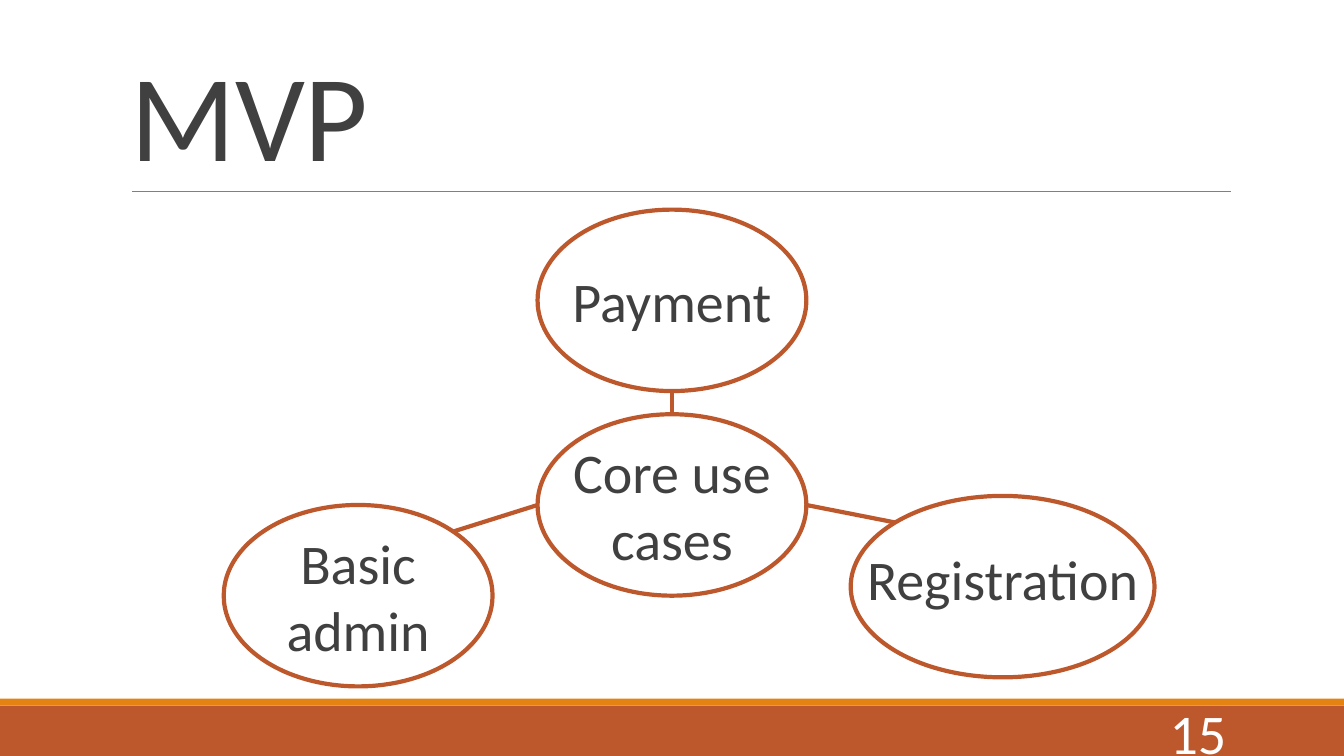
"""Build the MVP slide: three features linked to the core use cases."""
from math import sqrt

from lxml.etree import SubElement
from pptx import Presentation
from pptx.dml.color import RGBColor
from pptx.enum.shapes import MSO_CONNECTOR, MSO_SHAPE
from pptx.enum.text import MSO_ANCHOR, PP_ALIGN
from pptx.oxml.ns import qn
from pptx.util import Inches, Pt

THEME = {
    "font": "Calibri",
    "ink": RGBColor.from_string("404040"),
    "paper": RGBColor.from_string("FFFFFF"),
    "rust": RGBColor.from_string("BD582C"),
    "amber": RGBColor.from_string("E48312"),
    "rule": RGBColor.from_string("808080"),
    "title": Pt(88),
    "body": Pt(40),
    "outline": Pt(3),
    "hairline": Pt(0.5),
}

deck = Presentation()
deck.slide_width, deck.slide_height = Inches(13.33), Inches(7.5)
page = deck.slides.add_slide(deck.slide_layouts[6])
column, row = deck.slide_width / 100, deck.slide_height / 100


def add_text(area, text, size, color, align, anchor):
    """Write one paragraph in a box given in percent of the slide."""
    left, top, width, height = area
    box = page.shapes.add_textbox(
        int(left * column), int(top * row), int(width * column), int(height * row))
    box.text_frame.word_wrap = True
    box.text_frame.vertical_anchor = anchor
    para = box.text_frame.paragraphs[0]
    para.alignment = align
    span = para.add_run()
    span.text = text
    for name, value in {"name": THEME["font"], "size": THEME[size]}.items():
        setattr(span.font, name, value)
    span.font.color.rgb = THEME[color]
    return para


def add_line(start, end, color, weight):
    """Draw a straight line between two points in percent of the slide."""
    line = page.shapes.add_connector(
        MSO_CONNECTOR.STRAIGHT, int(start[0] * column), int(start[1] * row),
        int(end[0] * column), int(end[1] * row))
    line.line.color.rgb = THEME[color]
    line.line.width = THEME[weight]
    SubElement(line._element.spPr, qn("a:effectLst"))


bands = [(93.33, 6.67, "rust"), (92.4, 0.93, "amber")]
for top, height, color in bands:
    band = page.shapes.add_shape(
        MSO_SHAPE.RECTANGLE, 0, int(top * row), deck.slide_width, int(height * row))
    band.shadow.inherit = False
    band.fill.solid()
    band.fill.fore_color.rgb = THEME[color]
    band.line.fill.background()

add_line((9.83, 25.33), (91.6, 25.33), "rule", "hairline")
title = add_text((9, 4.13, 82.5, 21.2), "MVP", "title", "ink",
                 PP_ALIGN.LEFT, MSO_ANCHOR.BOTTOM)
title.line_spacing = 0.85
title.runs[0].font._element.set("spc", "-50")
add_text((81.25, 94.13, 10.73, 5.33), "15", "body", "paper",
         PP_ALIGN.RIGHT, MSO_ANCHOR.MIDDLE)

node_height, line_height, padding = 24, 9.07, 1.2
nodes = {
    "Core use cases": {"center": (50, 66.8), "width": 20, "lines": 2, "lift": 0},
    "Payment": {"center": (50, 39.73), "width": 20, "lines": 1, "lift": 0},
    "Registration": {"center": (74.6, 77.6), "width": 22.6, "lines": 1, "lift": 1.13},
    "Basic admin": {"center": (26.65, 78.8), "width": 20, "lines": 2, "lift": 0},
}
for label, node in nodes.items():
    x, y = node["center"]
    width = node["width"]
    oval = page.shapes.add_shape(
        MSO_SHAPE.OVAL, int((x - width / 2) * column), int((y - node_height / 2) * row),
        int(width * column), int(node_height * row))
    oval.shadow.inherit = False
    oval.fill.solid()
    oval.fill.fore_color.rgb = THEME["paper"]
    oval.line.color.rgb = THEME["rust"]
    oval.line.width = THEME["outline"]
    text_width = width - 1.4 if node["lines"] > 1 or width == 20 else width - 0.4
    text_height = padding + node["lines"] * line_height
    area = (x - text_width / 2, y - node["lift"] - text_height / 2, text_width, text_height)
    add_text(area, label, "body", "ink", PP_ALIGN.CENTER, MSO_ANCHOR.MIDDLE)

diagonal = 1 / sqrt(2)
links = [
    ("Payment", (0, -1), (0, 1)),
    ("Registration", (1, 0), (-diagonal, -diagonal)),
    ("Basic admin", (-1, 0), (diagonal, -diagonal)),
]
for label, core_side, node_side in links:
    start, end = [
        (node["center"][0] + side[0] * node["width"] / 2,
         node["center"][1] + side[1] * node_height / 2)
        for node, side in ((nodes["Core use cases"], core_side), (nodes[label], node_side))
    ]
    add_line(start, end, "rust", "outline")

deck.save("out.pptx")
